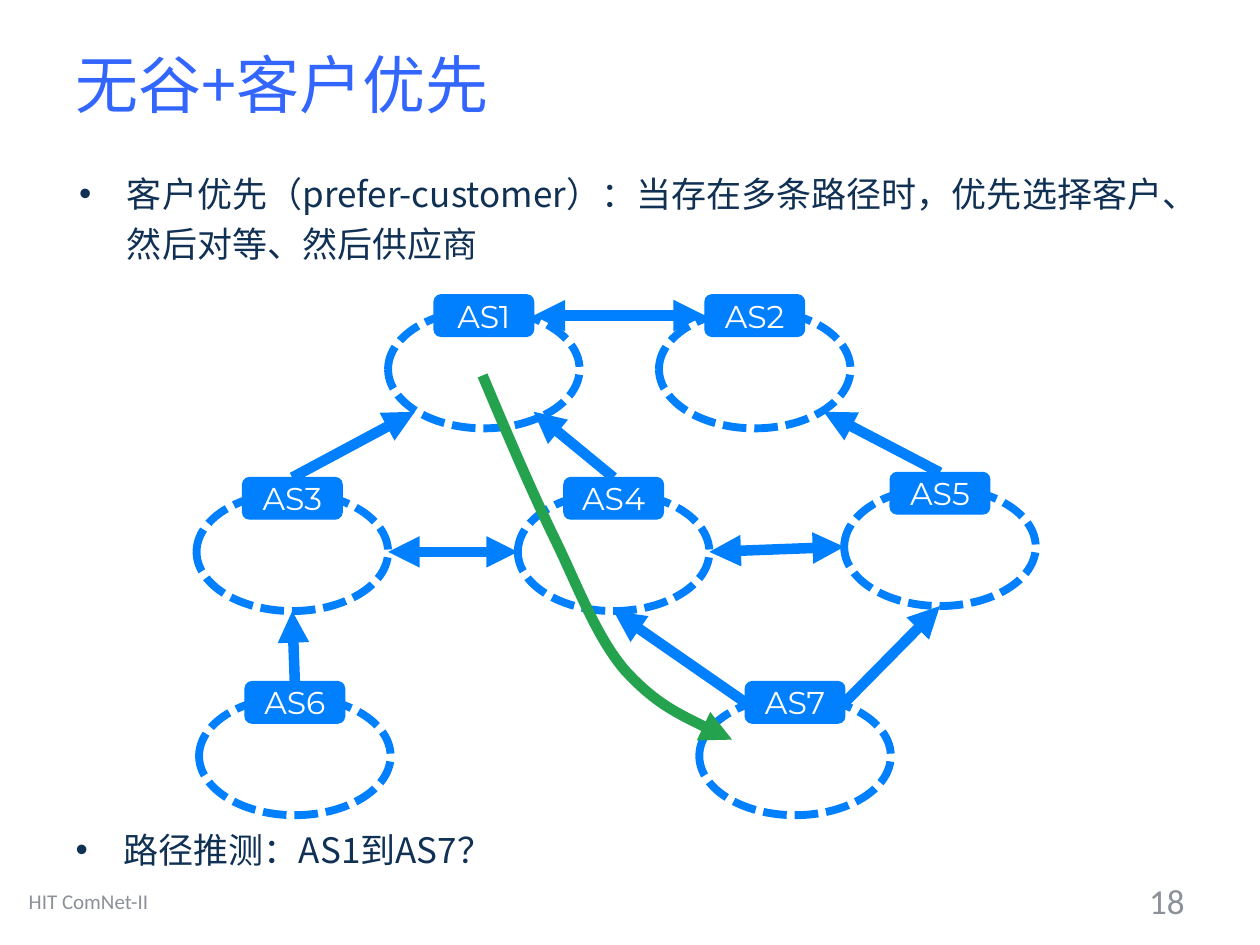
from lxml import etree
from pptx import Presentation
from pptx.dml.color import RGBColor
from pptx.enum.dml import MSO_LINE
from pptx.enum.shapes import MSO_CONNECTOR, MSO_SHAPE
from pptx.enum.text import MSO_ANCHOR, PP_ALIGN
from pptx.oxml.ns import qn
from pptx.util import Inches, Pt

OVAL, ROUND = MSO_SHAPE.OVAL, MSO_SHAPE.ROUNDED_RECTANGLE
STRAIGHT, DASH = MSO_CONNECTOR.STRAIGHT, MSO_LINE.SQUARE_DOT
MIDDLE, TOP_ANCHOR = MSO_ANCHOR.MIDDLE, MSO_ANCHOR.TOP
LEFT_AL, CENTER, RIGHT_AL = PP_ALIGN.LEFT, PP_ALIGN.CENTER, PP_ALIGN.RIGHT

CJK, LATIN, LABEL = "Noto Sans CJK SC", "Calibri", "Montserrat"
BLUE, GREEN, INK, GRAY = "0080FF", "25A24E", "103154", "8C9099"

TITLE = "无谷+客户优先"
RULE = "客户优先（prefer-customer）：当存在多条路径时，优先选择客户、然后对等、然后供应商"
ASK = "路径推测：AS1到AS7？"

# Left and top of each oval
NODES = {
    "AS2": (5.23, 2.46), "AS1": (3.08, 2.46), "AS3": (1.56, 3.91),
    "AS4": (4.11, 3.91), "AS5": (6.7, 3.87), "AS6": (1.58, 5.53),
    "AS7": (5.55, 5.53),
}
OVAL_W, OVAL_H = 1.52, 0.94
TAG_W, TAG_H, TAG_UP = 0.79, 0.33, 0.12

# An end is a label's connection site, or a fraction of the oval's width and height
TOP, LEFT, RIGHT = 0, 1, 3
FOOT, WEST, EAST = (0.5, 1), (0, 0.5), (1, 0.5)
UPLINKS = [  # customer to provider
    ("AS6", TOP, "AS3", FOOT),
    ("AS7", LEFT, "AS4", FOOT),
    ("AS7", RIGHT, "AS5", FOOT),
    ("AS5", TOP, "AS2", (0.86, 0.86)),
    ("AS4", TOP, "AS1", (0.76, 0.86)),
    ("AS3", TOP, "AS1", (0.14, 0.86)),
]
PEERS = [
    ("AS1", RIGHT, "AS2", LEFT),
    ("AS3", EAST, "AS4", WEST),
    ("AS4", EAST, "AS5", WEST),
]
# Start, then two control points and an end for each curve
ROUTE = [
    (3.83, 2.98),
    (4.02, 3.43), (4.21, 3.88), (4.4, 4.27),
    (4.59, 4.66), (4.73, 5.05), (4.96, 5.32),
    (5.2, 5.58), (5.5, 5.73), (5.81, 5.87),
]


def rgb(code):
    return RGBColor.from_string(code)


def place(shape, *box):
    shape.left, shape.top, shape.width, shape.height = map(Inches, box)


def write(shape, text, size, font, color, align=LEFT_AL, anchor=MIDDLE):
    frame = shape.text_frame
    frame.text = text
    frame.word_wrap = True
    frame.vertical_anchor = anchor
    para = frame.paragraphs[0]
    para.alignment = align
    for run in para.runs:
        run.font.size, run.font.name = Pt(size), font
        run.font.color.rgb = rgb(color)
        props = run.font._element
        etree.SubElement(props, qn("a:ea")).set("typeface", font)


def bullet(shape, text):
    write(shape, text, 20, CJK, INK, anchor=TOP_ANCHOR)
    para = shape.text_frame.paragraphs[0]
    para.line_spacing, para.space_before = 1.2, Pt(0)
    props = para._p.get_or_add_pPr()
    props.set("marL", str(Inches(0.38)))
    props.set("indent", str(-Inches(0.38)))
    etree.SubElement(props, qn("a:buFont")).set("typeface", "Arial")
    etree.SubElement(props, qn("a:buChar")).set("char", "•")


def stroke(shape, color, *ends):
    """Draw a thick line with triangles at the named ends, head first."""
    shape.line.color.rgb = rgb(color)
    shape.line.width = Pt(6)
    for end in ends:
        mark = etree.SubElement(shape.line._get_or_add_ln(), qn("a:" + end))
        mark.set("type", "triangle")


def add_node(shapes, name, x, y):
    oval = shapes.add_shape(OVAL, *map(Inches, (x, y, OVAL_W, OVAL_H)))
    oval.fill.background()
    oval.line.width, oval.line.dash_style = Pt(4.5), DASH
    tag = shapes.add_shape(ROUND, *map(Inches, (
        x + (OVAL_W - TAG_W) / 2, y - TAG_UP, TAG_W, TAG_H)))
    tag.fill.solid()
    tag.fill.fore_color.rgb = rgb(BLUE)
    tag.line.width = Pt(0.75)
    for part in (oval, tag):
        part.shadow.inherit = False
        part.line.color.rgb = rgb(BLUE)
    frame = tag.text_frame
    frame.margin_left = frame.margin_right = 0
    frame.margin_top = frame.margin_bottom = 0
    write(tag, name, 18, LABEL, "FFFFFF", CENTER)
    return tag


def spot(name, end):
    x, y = NODES[name]
    fx, fy = end if isinstance(end, tuple) else (0, 0)
    return Inches(x + fx * OVAL_W), Inches(y + fy * OVAL_H)


def add_link(shapes, tags, link, *ends):
    a, out, b, into = link
    line = shapes.add_connector(STRAIGHT, *spot(a, out), *spot(b, into))
    if not isinstance(out, tuple):
        line.begin_connect(tags[a], out)
    if not isinstance(into, tuple):
        line.end_connect(tags[b], into)
    stroke(line, BLUE, *ends)
    etree.SubElement(line._element.spPr, qn("a:effectLst"))


def add_route(shapes):
    pts = [(Inches(x), Inches(y)) for x, y in ROUTE]
    pen = shapes.build_freeform(*pts[0])
    pen.add_line_segments(pts[1:], close=False)
    curve = pen.convert_to_shape()
    curve.shadow.inherit = False
    curve.fill.background()
    stroke(curve, GREEN, "tailEnd")
    # Turn each three straight steps into one Bezier curve
    track = curve._element.find(".//" + qn("a:path"))
    steps = track.findall(qn("a:lnTo"))
    for i in range(0, len(steps), 3):
        bend = etree.SubElement(track, qn("a:cubicBezTo"))
        for step in steps[i:i + 3]:
            bend.append(step[0])
            track.remove(step)


def main():
    deck = Presentation()
    deck.slide_width, deck.slide_height = Inches(10), Inches(7.5)
    slide = deck.slides.add_slide(deck.slide_layouts[1])
    shapes = slide.shapes

    title, body = slide.placeholders
    place(title, 0.5, 0.04, 9, 1.25)
    write(title, TITLE, 36, CJK, "3366FF")
    place(body, 0.5, 6.46, 9, 0.74)
    bullet(body, ASK)
    rule = shapes.add_textbox(*map(Inches, (0.53, 1.25, 9, 0.74)))
    bullet(rule, RULE)

    foot = shapes.add_textbox(*map(Inches, (0.13, 6.95, 3.17, 0.4)))
    write(foot, "HIT ComNet-II", 12, LATIN, GRAY)
    page = shapes.add_textbox(*map(Inches, (7.17, 6.95, 2.33, 0.4)))
    write(page, "18", 20, LATIN, GRAY, RIGHT_AL)

    tags = {name: add_node(shapes, name, *at) for name, at in NODES.items()}
    for link in UPLINKS:
        add_link(shapes, tags, link, "tailEnd")
    for link in PEERS:
        add_link(shapes, tags, link, "headEnd", "tailEnd")
    add_route(shapes)
    deck.save("out.pptx")


if __name__ == "__main__":
    main()
